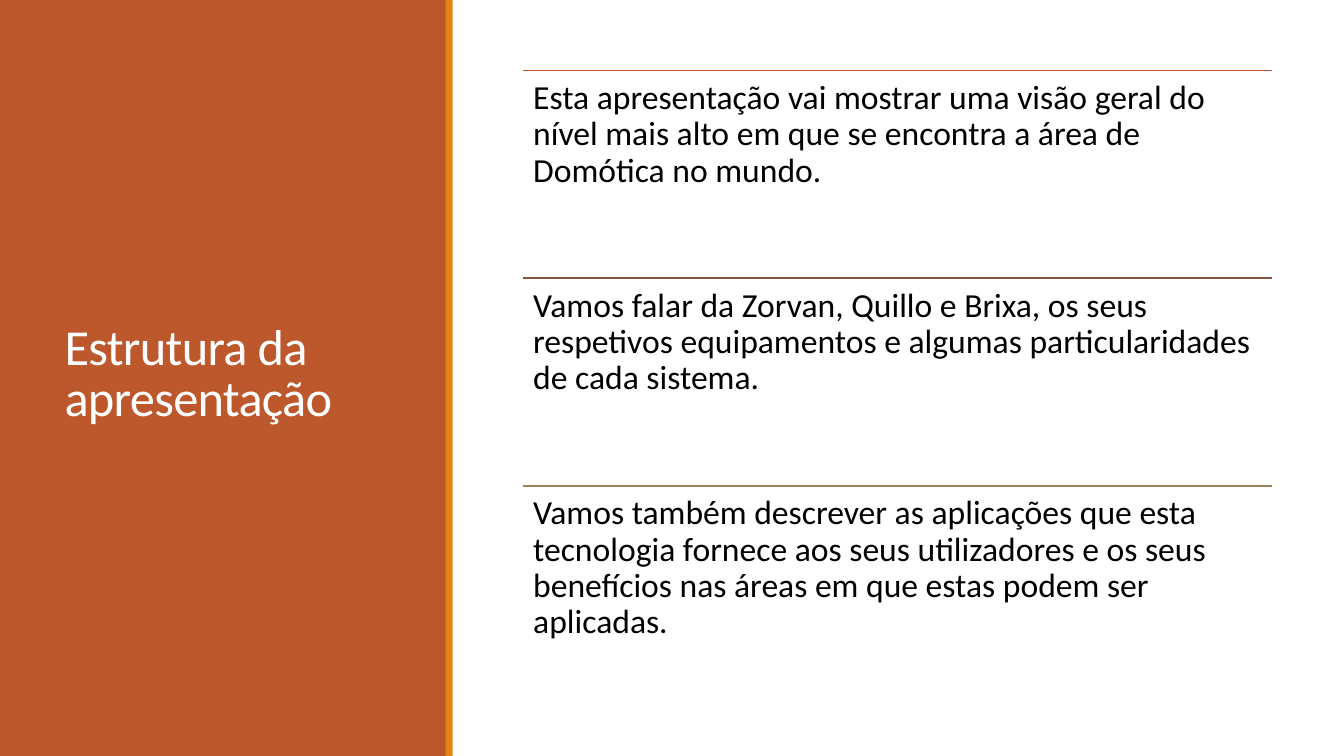
from pptx import Presentation
from pptx.dml.color import RGBColor
from pptx.enum.shapes import MSO_CONNECTOR, MSO_SHAPE
from pptx.enum.text import MSO_ANCHOR, MSO_AUTO_SIZE, PP_ALIGN
from pptx.oxml.ns import qn
from pptx.util import Inches, Pt
from lxml.etree import SubElement

HUES = {
    "rust": "BD582C", "brown": "865640", "olive": "9B8357",
    "amber": "E48312", "white": "FFFFFF", "black": "000000",
}
POINTS = [
    ("rust", "Esta apresentação vai mostrar uma visão geral do nível mais alto "
             "em que se encontra a área de Domótica no mundo."),
    ("brown", "Vamos falar da Zorvan, Quillo e Brixa, os seus respetivos "
              "equipamentos e algumas particularidades de cada sistema."),
    ("olive", "Vamos também descrever as aplicações que esta tecnologia fornece "
              "aos seus utilizadores e os seus benefícios nas áreas em que estas "
              "podem ser aplicadas."),
]
LEFT, TOP, WIDTH, STEP = 5.19, 0.7, 7.43, 2.06


class Deck:
    face = "Calibri"

    def __init__(self):
        self.show = Presentation()
        self.show.slide_width = Inches(13.33)
        self.show.slide_height = Inches(7.5)
        self.slide = self.show.slides.add_slide(self.show.slide_layouts[5])
        self.shapes = self.slide.shapes
        self.paint(self.slide.background.fill, "white")

    def paint(self, fill, hue):
        fill.solid()
        fill.fore_color.rgb = RGBColor.from_string(HUES[hue])

    def bar(self, x, y, w, h, hue):
        shape = self.shapes.add_shape(
            MSO_SHAPE.RECTANGLE, Inches(x), Inches(y), Inches(w), Inches(h))
        shape.shadow.inherit = False
        self.paint(shape.fill, hue)
        shape.line.fill.background()

    def rule(self, x, y, w, hue):
        line = self.shapes.add_connector(
            MSO_CONNECTOR.STRAIGHT, Inches(x), Inches(y), Inches(x + w), Inches(y))
        line.line.width = Pt(1.25)
        self.paint(line.line.fill, hue)
        SubElement(line._element.spPr, qn("a:effectLst"))

    def style(self, shape, text, size, hue, lead):
        frame = shape.text_frame
        frame.text = text
        frame.word_wrap = True
        frame.auto_size = MSO_AUTO_SIZE.NONE
        para = frame.paragraphs[0]
        para.alignment = PP_ALIGN.LEFT
        para.line_spacing = lead
        para.font.name = self.face
        para.font.size = Pt(size)
        self.paint(para.font.fill, hue)
        return frame

    def title(self, x, y, w, h, text):
        shape = self.shapes.title
        shape.left, shape.top = Inches(x), Inches(y)
        shape.width, shape.height = Inches(w), Inches(h)
        frame = self.style(shape, text, 36, "white", 0.85)
        frame.vertical_anchor = MSO_ANCHOR.MIDDLE
        frame.paragraphs[0].font._element.set("spc", "-50")
        self.shapes._spTree.append(shape._element)

    def text(self, x, y, w, h, text):
        box = self.shapes.add_textbox(Inches(x), Inches(y), Inches(w), Inches(h))
        frame = self.style(box, text, 24, "black", 0.9)
        frame.margin_left = frame.margin_right = Inches(0.1)
        frame.margin_top = frame.margin_bottom = Inches(0.1)


def main():
    deck = Deck()
    deck.bar(0, 0, 4.43, 7.5, "rust")
    deck.title(0.54, 0.57, 3.37, 6.31, "Estrutura da apresentação")
    deck.bar(4.42, 0, 0.07, 7.5, "amber")
    for row, (hue, text) in enumerate(POINTS):
        y = TOP + row * STEP
        deck.rule(LEFT, y, WIDTH, hue)
        deck.text(LEFT, y, WIDTH, STEP, text)
    deck.show.save("out.pptx")


if __name__ == "__main__":
    main()
